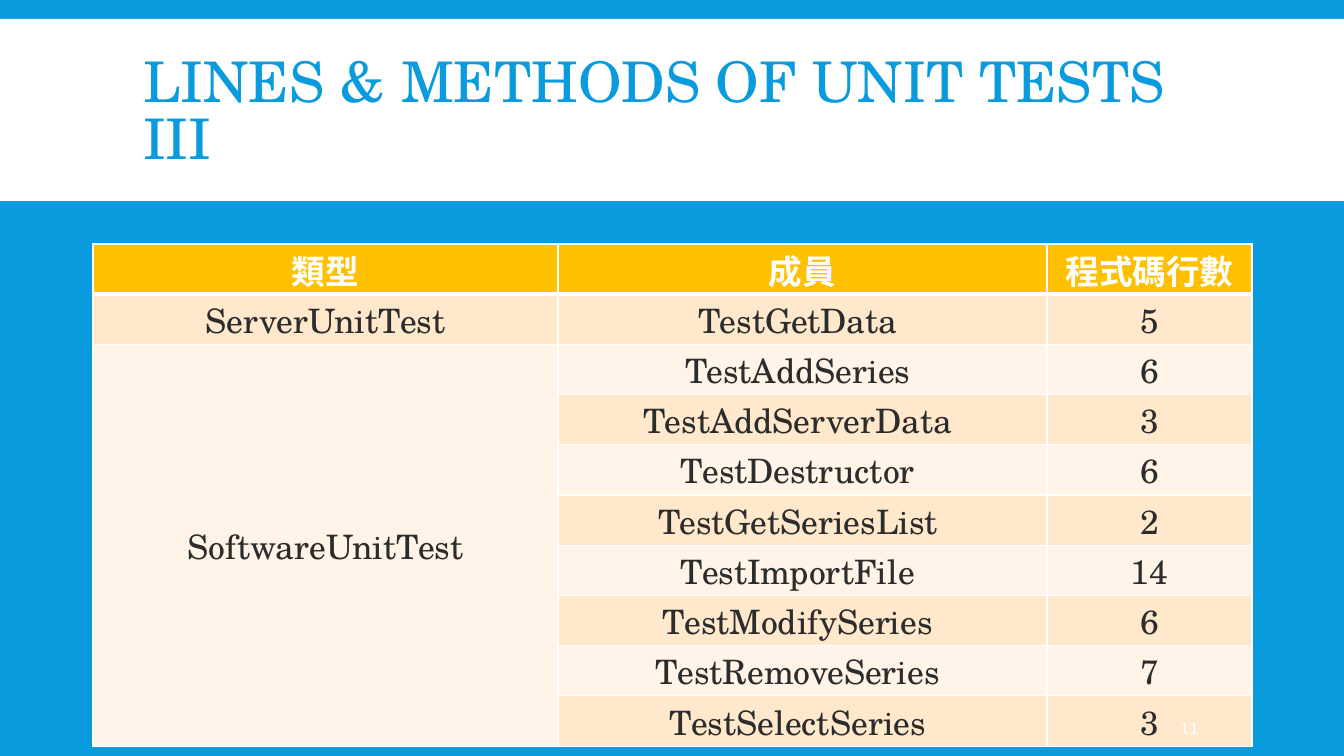
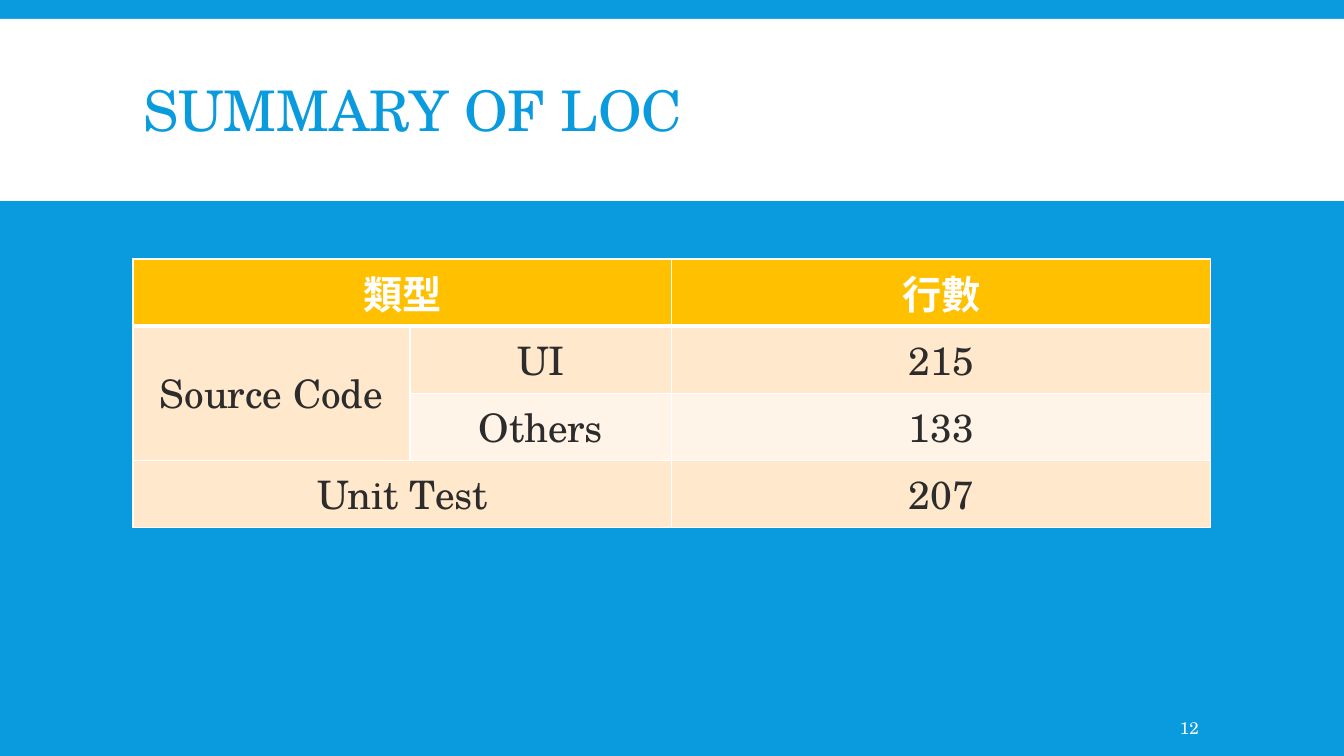
from lxml import etree
from pptx import Presentation, util as u
from pptx.dml.color import RGBColor
from pptx.enum import shapes, text
from pptx.oxml import ns

SCALE = 914400 / 100.8
FONT = "TeX Gyre Schola"
BLUE, WHITE, AMBER = "099BDD", "FFFFFF", "FFC000"
INK, PEACH, CREAM = "2C2C2C", "FFE8CC", "FFF4E7"
BAND_BOX = (0, 19, 1344, 182)
TITLE_BOX = (133, 31, 1079, 166)
NUMBER_BOX = (1175, 708, 104, 40)


def px(length):
    """Turn whole pixels into EMU."""
    return u.Emu(round(length * SCALE))


def place(box):
    """Turn a box in pixels into EMU lengths."""
    return [px(length) for length in box]


def paint(fill, color):
    """Give a fill one solid colour."""
    fill.solid()
    fill.fore_color.rgb = RGBColor.from_string(color)


def write(frame, words, size, color, bold=False, align=text.PP_ALIGN.LEFT, spacing=1.0):
    """Write one formatted, vertically centred paragraph."""
    frame.word_wrap = True
    frame.vertical_anchor = text.MSO_ANCHOR.MIDDLE
    para = frame.paragraphs[0]
    para.alignment = align
    para.line_spacing = spacing
    span = para.add_run()
    span.text = words
    span.font.name = FONT
    span.font.size = u.Pt(size)
    span.font.bold = bold
    span.font.color.rgb = RGBColor.from_string(color)


def add_borders(cell, top, bottom):
    """Draw white borders around a cell, widths in points."""
    properties = cell._tc.get_or_add_tcPr()
    for side, width in (("L", 1), ("R", 1), ("T", top), ("B", bottom)):
        line = etree.SubElement(properties, ns.qn(f"a:ln{side}"), w=str(u.Pt(width)))
        fill = etree.SubElement(line, ns.qn("a:solidFill"))
        etree.SubElement(fill, ns.qn("a:srgbClr"), val=WHITE)


def add_title(page, words):
    """Place the white band and the title on it."""
    title = page.shapes.title
    band = page.shapes.add_shape(shapes.MSO_SHAPE.RECTANGLE, *place(BAND_BOX))
    band.shadow.inherit = False
    paint(band.fill, WHITE)
    band.line.fill.background()
    title.element.addprevious(band.element)
    title.left, title.top, title.width, title.height = place(TITLE_BOX)
    title.text_frame.auto_size = text.MSO_AUTO_SIZE.NONE
    write(title.text_frame, words, 40, BLUE, spacing=0.85)


def add_number(page, number):
    """Place the page number at the lower right."""
    box = page.shapes.add_textbox(*place(NUMBER_BOX))
    box.text_frame.margin_left = px(5)
    write(box.text_frame, str(number), 12, WHITE)


def add_grid(page, left, top, columns, row_height, rows, merges, size, insets):
    """Place a table with an amber header and banded rows."""
    box = (left, top, sum(columns), row_height * len(rows))
    table = page.shapes.add_table(len(rows), len(columns), *place(box)).table
    table.horz_banding = False
    for column, width in zip(table.columns, columns):
        column.width = px(width)
    for index, values in enumerate(rows):
        header = index == 0
        table.rows[index].height = px(row_height)
        shade = AMBER if header else (CREAM, PEACH)[index % 2]
        for cell, words in zip(table.rows[index].cells, values):
            cell.margin_left, cell.margin_top, cell.margin_right, cell.margin_bottom = place(insets)
            cell.vertical_anchor = text.MSO_ANCHOR.MIDDLE
            add_borders(cell, 3 if index == 1 else 1, 3 if header else 1)
            paint(cell.fill, shade)
            if words:
                write(cell.text_frame, words, size, WHITE if header else INK,
                      bold=header, align=text.PP_ALIGN.CENTER)
    for first, last in merges:
        table.cell(*first).merge(table.cell(*last))


def add_page(deck, number, title, **grid):
    """Add one page with a title, a table and a number."""
    page = deck.slides.add_slide(deck.slide_layouts.get_by_name("Title Only"))
    for holder in list(page.placeholders):
        if holder.placeholder_format.idx:
            holder.element.getparent().remove(holder.element)
    add_title(page, title)
    add_grid(page, **grid)
    add_number(page, number)


TEST_ROWS = [
    ("類型", "成員", "程式碼行數"),
    ("ServerUnitTest", "TestGetData ", "5"),
    ("SoftwareUnitTest", "TestAddSeries ", "6"),
    ("", "TestAddServerData ", "3"),
    ("", "TestDestructor ", "6"),
    ("", "TestGetSeriesList ", "2"),
    ("", "TestImportFile ", "14"),
    ("", "TestModifySeries ", "6"),
    ("", "TestRemoveSeries ", "7"),
    ("", "TestSelectSeries ", "3"),
]
SUMMARY_ROWS = [
    ("類型", "", "行數"),
    ("Source Code", "UI", "215"),
    ("", "Others", "133"),
    ("Unit Test", "", "207"),
]

deck = Presentation()
deck.slide_width, deck.slide_height = px(1344), px(756)
paint(deck.slide_master.background.fill, BLUE)
add_page(deck, 11, "LINES & METHODS OF UNIT TESTS III",
         left=93, top=244, columns=(465, 489, 205), row_height=50, rows=TEST_ROWS,
         merges=[((2, 0), (9, 0))], size=24, insets=(1, 1, 1, 0))
add_page(deck, 12, "SUMMARY OF LOC",
         left=133, top=259, columns=(277, 262, 539), row_height=67, rows=SUMMARY_ROWS,
         merges=[((0, 0), (0, 1)), ((1, 0), (2, 0)), ((3, 0), (3, 1))],
         size=28, insets=(9, 5, 9, 5))
deck.save("out.pptx")
